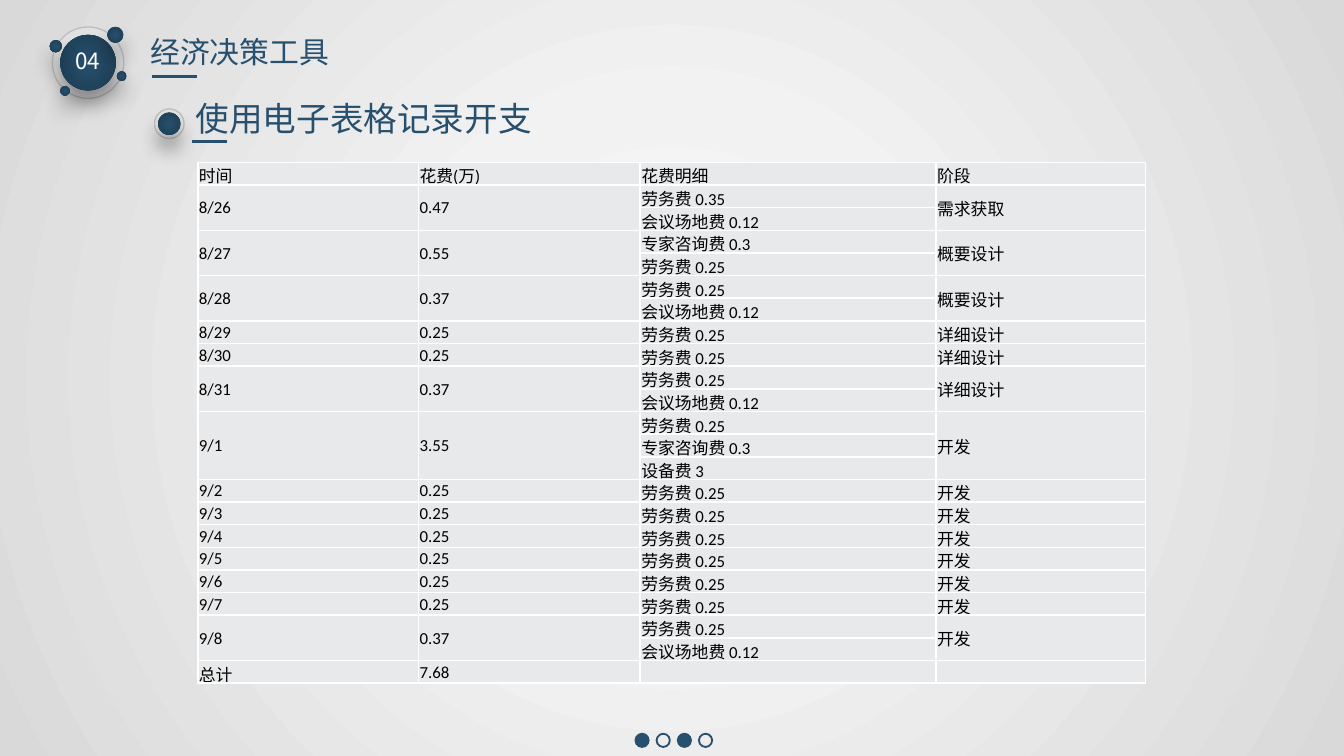
from dataclasses import dataclass

from lxml.etree import SubElement
from pptx import Presentation
from pptx.dml.color import RGBColor
from pptx.enum.shapes import MSO_CONNECTOR, MSO_SHAPE
from pptx.enum.text import MSO_ANCHOR, MSO_AUTO_SIZE, PP_ALIGN
from pptx.oxml import parse_xml
from pptx.oxml.ns import nsdecls, qn
from pptx.util import Cm, Pt


@dataclass(frozen=True)
class Theme:
    navy: str = "27506E"
    white: str = "FFFFFF"
    black: str = "000000"
    edge: str = "BFBFBF"
    cell: str = "E8E9EB"
    back: tuple = ((0, "FFFFFF"), (35, "F2F2F2"), (100, "D9D9D9"))
    orb: tuple = ((0, "27506E"), (100, "1D3C52"))
    ring: tuple = ((0, "F2F2F2"), (100, "D9D9D9"))
    font: str = "Noto Sans CJK SC"
    grid_font: str = "Calibri"
    title: int = 16
    head: int = 18
    number: int = 12
    grid: int = 9


THEME = Theme()

LABOR = "劳务费 0.25"
VENUE = "会议场地费 0.12"
EXPERT = "专家咨询费 0.3"
HEADS = ("时间", "花费(万)", "花费明细", "阶段")
DAYS = (
    ("8/26", "0.47", ("劳务费 0.35", VENUE), "需求获取"),
    ("8/27", "0.55", (EXPERT, LABOR), "概要设计"),
    ("8/28", "0.37", (LABOR, VENUE), "概要设计"),
    ("8/29", "0.25", (LABOR,), "详细设计"),
    ("8/30", "0.25", (LABOR,), "详细设计"),
    ("8/31", "0.37", (LABOR, VENUE), "详细设计"),
    ("9/1", "3.55", (LABOR, EXPERT, "设备费 3"), "开发"),
    *((f"9/{day}", "0.25", (LABOR,), "开发") for day in range(2, 8)),
    ("9/8", "0.37", (LABOR, VENUE), "开发"),
)
TOTAL = ("总计", "7.68", ("",), "")


def rgb(code):
    return RGBColor.from_string(code)


def radial(fill, parent, stops):
    """Give parent a round gradient that spreads from its centre."""
    fill.solid()
    marks = "".join(f'<a:gs pos="{pos * 1000}"><a:srgbClr val="{code}"/></a:gs>'
                    for pos, code in stops)
    grad = parse_xml(
        f'<a:gradFill {nsdecls("a")} rotWithShape="1"><a:gsLst>{marks}</a:gsLst>'
        '<a:path path="circle"><a:fillToRect l="50000" t="50000" r="50000" b="50000"/>'
        '</a:path></a:gradFill>')
    parent.replace(parent.find(qn("a:solidFill")), grad)


def add_shadow(shape):
    effects = shape._element.spPr.find(qn("a:effectLst"))
    effects.append(parse_xml(
        f'<a:outerShdw {nsdecls("a")} blurRad="{Pt(11)}" dist="{Pt(8)}" dir="5400000"'
        f' algn="t" rotWithShape="0"><a:srgbClr val="{THEME.black}">'
        '<a:alpha val="40000"/></a:srgbClr></a:outerShdw>'))


def add_disc(shapes, x, y, size):
    disc = shapes.add_shape(MSO_SHAPE.OVAL, Cm(x), Cm(y), Cm(size), Cm(size))
    disc.shadow.inherit = False
    disc.line.fill.background()
    return disc


def add_orb(shapes, x, y, size):
    orb = add_disc(shapes, x, y, size)
    radial(orb.fill, orb._element.spPr, THEME.orb)
    add_shadow(orb)


def add_knob(shapes, x, y, size, inset):
    """Draw a pale ring with a dark orb in it."""
    ring = add_disc(shapes, x, y, size)
    radial(ring.fill, ring._element.spPr, THEME.ring)
    ring.line.color.rgb = rgb(THEME.edge)
    ring.line.width = Pt(0.75)
    add_orb(shapes, x + inset, y + inset, size - 2 * inset)


def add_rule(slide, x, y, width):
    rule = slide.shapes.add_connector(
        MSO_CONNECTOR.STRAIGHT, Cm(x), Cm(y), Cm(x + width), Cm(y))
    rule.line.color.rgb = rgb(THEME.navy)
    rule.line.width = Pt(1.5)
    SubElement(rule._element.spPr, qn("a:effectLst"))


def set_text(shape, text, size, color, wrap=False):
    frame = shape.text_frame
    frame.text = text
    frame.word_wrap = wrap
    frame.auto_size = MSO_AUTO_SIZE.SHAPE_TO_FIT_TEXT
    frame.vertical_anchor = MSO_ANCHOR.TOP
    line = frame.paragraphs[0]
    line.alignment = PP_ALIGN.LEFT
    font = line.runs[0].font
    font.size, font.name, font.color.rgb = Pt(size), THEME.font, rgb(color)
    SubElement(font._element, qn("a:ea"), typeface=THEME.font)


def add_title(slide, x, y, width, height):
    title = slide.shapes.title
    title.left, title.top, title.width, title.height = map(Cm, (x, y, width, height))
    set_text(title, "经济决策工具", THEME.title, THEME.navy)
    add_rule(slide, x + 0.28, y + 0.94, 0.86)


def add_badge(slide, x, y, size):
    shapes = slide.shapes.add_group_shape().shapes
    add_knob(shapes, x, y, size, 0.15)
    for dx, dy, wide in ((1.04, 0, 0.3), (-0.05, 0.25, 0.23),
                         (0.15, 1.12, 0.18), (1.22, 0.84, 0.18)):
        add_orb(shapes, x + dx, y + dy, wide)
    label = slide.shapes.add_textbox(Cm(x + 0.18), Cm(y + 0.25), Cm(1.02), Cm(0.76))
    set_text(label, "04", THEME.number, THEME.white)


def add_heading(slide, x, y, width, height):
    add_knob(slide.shapes.add_group_shape().shapes, x, y + 0.33, 0.56, 0.07)
    label = slide.shapes.add_textbox(Cm(x + 0.53), Cm(y), Cm(width - 0.53), Cm(height))
    set_text(label, "使用电子表格记录开支", THEME.head, THEME.navy, wrap=True)
    add_rule(slide, x + 0.71, y + 0.94, 0.66)


def add_dots(slide, x, y, size, step):
    shapes = slide.shapes.add_group_shape().shapes
    for place in range(4):
        dot = add_disc(shapes, x + place * step, y, size)
        dot.line.color.rgb = rgb(THEME.navy)
        dot.line.width = Pt(1)
        if place % 2:
            dot.fill.background()
        else:
            dot.fill.solid()
            dot.fill.fore_color.rgb = rgb(THEME.navy)


def style_cell(cell):
    cell.vertical_anchor = MSO_ANCHOR.MIDDLE
    cell.margin_left = cell.margin_right = cell.margin_top = Cm(0.02)
    cell.margin_bottom = 0
    props = cell._tc.get_or_add_tcPr()
    for side in "LRTB":
        props.append(parse_xml(
            f'<a:ln{side} {nsdecls("a")} w="{Pt(1)}"><a:solidFill>'
            f'<a:srgbClr val="{THEME.white}"/></a:solidFill></a:ln{side}>'))
    cell.fill.solid()
    cell.fill.fore_color.rgb = rgb(THEME.cell)
    line = cell.text_frame.paragraphs[0]
    for run in line.runs:
        run.font.size, run.font.name = Pt(THEME.grid), THEME.grid_font
        run.font.color.rgb = rgb(THEME.black)
    if not line.runs:
        SubElement(line._p, qn("a:endParaRPr"), sz=str(THEME.grid * 100))


def add_costs(slide, x, y, widths, height):
    """Place the table, one row per item, with the cells of a day merged."""
    days = (*DAYS, TOTAL)
    count = 1 + sum(len(items) for _, _, items, _ in days)
    table = slide.shapes.add_table(count, len(widths), Cm(x), Cm(y),
                                   Cm(sum(widths)), Cm(height)).table
    table.first_row = table.horz_banding = False
    for column, width in zip(table.columns, widths):
        column.width = Cm(width)
    for row in table.rows:
        row.height = Cm(height / count)
    for col, head in enumerate(HEADS):
        table.cell(0, col).text = head
    top = 1
    for date, cost, items, stage in days:
        last = top + len(items) - 1
        for col, text in ((0, date), (1, cost), (3, stage)):
            table.cell(top, col).text = text
            if last > top:
                table.cell(top, col).merge(table.cell(last, col))
        for row, item in enumerate(items, top):
            table.cell(row, 2).text = item
        top = last + 1
    for cell in table.iter_cells():
        style_cell(cell)


def main():
    deck = Presentation()
    deck.slide_width, deck.slide_height = Cm(25.4), Cm(14.29)
    slide = deck.slides.add_slide(deck.slide_layouts[5])
    fill = slide.background.fill
    radial(fill, slide._element.cSld.bg.bgPr, THEME.back)
    add_badge(slide, 0.99, 0.51, 1.35)
    add_dots(slide, 12.01, 13.87, 0.25, 0.4)
    add_title(slide, 2.59, 0.51, 3.94, 1.63)
    add_heading(slide, 2.92, 1.73, 13.99, 1.02)
    add_costs(slide, 3.74, 3.07, (4.17, 4.19, 5.59, 3.96), 9.86)
    deck.save("out.pptx")


if __name__ == "__main__":
    main()
